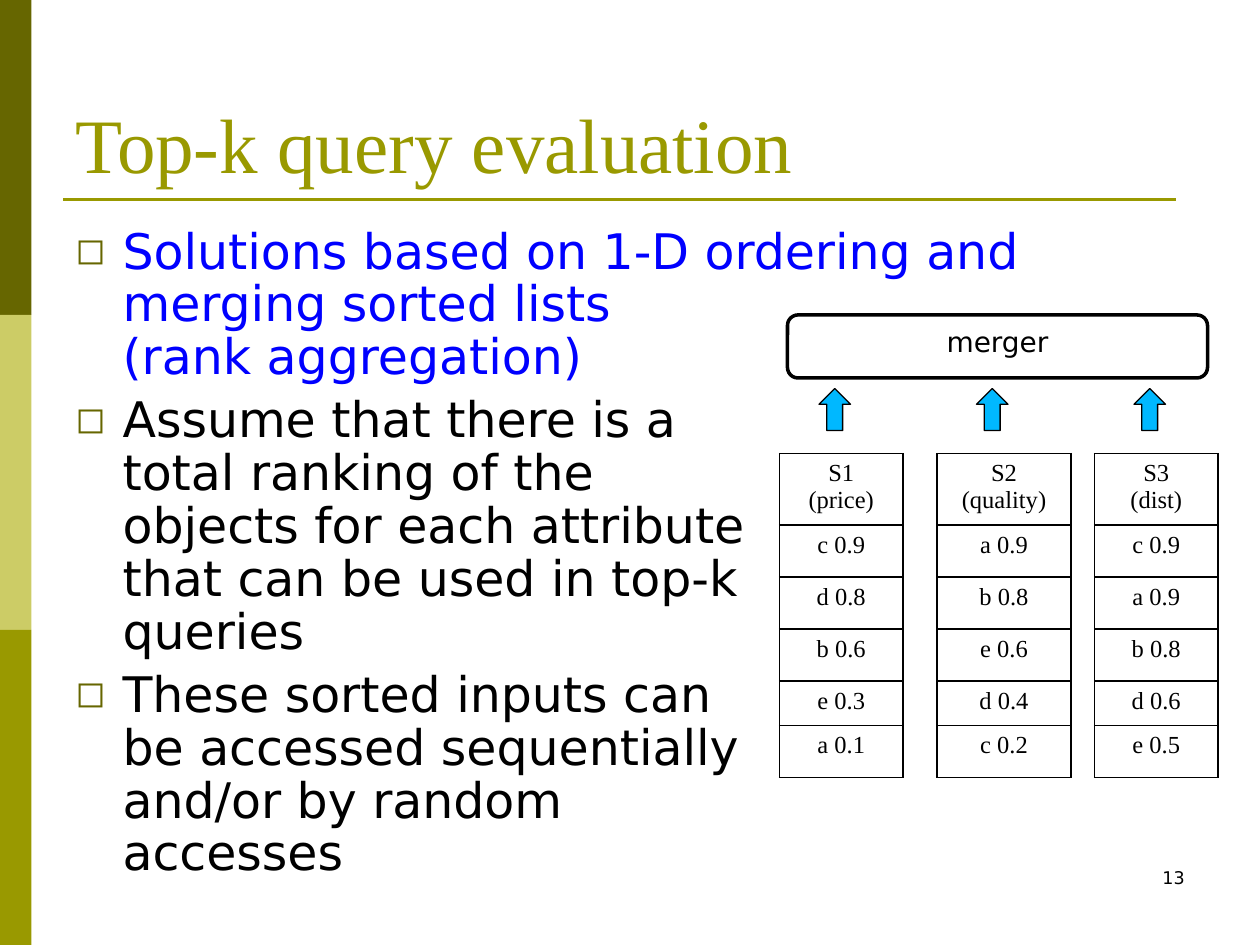
from lxml.etree import SubElement
from pptx import Presentation
from pptx.dml.color import RGBColor
from pptx.enum.shapes import MSO_CONNECTOR as Connector, MSO_SHAPE as Shape
from pptx.enum.text import MSO_ANCHOR as Anchor, PP_ALIGN as Align
from pptx.oxml.ns import qn
from pptx.util import Pt

SANS, SERIF = "DejaVu Sans", "Times New Roman"
OLIVE, DARK_OLIVE, PALE_OLIVE = "999900", "666600", "CCCC66"
BLACK, WHITE, BLUE, SKY = "000000", "FFFFFF", "0000FF", "00B8FF"

BULLETS = [
    ("Solutions based on 1-D ordering and merging sorted lists\n(rank aggregation)", BLUE),
    ("Assume that there is a\ntotal ranking of the\nobjects for each attribute\n"
     "that can be used in top-k\nqueries", BLACK),
    ("These sorted inputs can\nbe accessed sequentially\nand/or by random\naccesses", BLACK),
]
SORTED_LISTS = [
    (70.5, ["S1\n(price)", "c 0.9", "d 0.8", "b 0.6", "e 0.3", "a 0.1"]),
    (76.5, ["S2\n(quality)", "a 0.9", "b 0.8", "e 0.6", "d 0.4", "c 0.2"]),
    (70.5, ["S3\n(dist)", "c 0.9", "a 0.9", "b 0.8", "d 0.6", "e 0.5"]),
]
ROW_HEIGHTS = [38.2, 29.7, 29.7, 29.7, 25.6, 29.7]
LIST_LEFT, LIST_STEP = 445.5, 90


def color(hex_code):
    return RGBColor.from_string(hex_code)


def write(para, text, size=14, font=SANS, fill=BLACK, align=Align.LEFT):
    para.alignment = align
    for index, line in enumerate(text.split("\n")):
        if index:
            para.add_line_break()
        span = para.add_run()
        span.text = line
        span.font.size = Pt(size)
        span.font.name = font
        span.font.color.rgb = color(fill)


def add_text_box(page, left, top, width, height, anchor=Anchor.TOP):
    box = page.shapes.add_textbox(Pt(left), Pt(top), Pt(width), Pt(height))
    box.text_frame.word_wrap = True
    box.text_frame.vertical_anchor = anchor
    return box.text_frame


def add_block(page, kind, left, top, width, height, fill, line=None, weight=0.75):
    block = page.shapes.add_shape(kind, Pt(left), Pt(top), Pt(width), Pt(height))
    block.shadow.inherit = False
    block.fill.solid()
    block.fill.fore_color.rgb = color(fill)
    if line:
        block.line.color.rgb = color(line)
        block.line.width = Pt(weight)
    else:
        block.line.fill.background()
    return block


def add_rule(page, left, right, top):
    rule = page.shapes.add_connector(
        Connector.STRAIGHT, Pt(left), Pt(top), Pt(right), Pt(top))
    rule.line.color.rgb = color(OLIVE)
    rule.line.width = Pt(1.5)
    SubElement(rule._element.spPr, qn("a:effectLst"))


def set_bullet(para):
    props = para._p.get_or_add_pPr()
    props.set("marL", str(Pt(27)))
    props.set("indent", str(-Pt(27)))
    bullet_color = SubElement(props, qn("a:buClr"))
    SubElement(bullet_color, qn("a:srgbClr"), val=DARK_OLIVE)
    SubElement(props, qn("a:buSzPct"), val="75000")
    SubElement(props, qn("a:buFont"), typeface=SANS)
    SubElement(props, qn("a:buChar"), char="◻")


def add_bullets(frame, items):
    for index, (text, fill) in enumerate(items):
        para = frame.add_paragraph() if index else frame.paragraphs[0]
        set_bullet(para)
        para.line_spacing = 0.9
        if index:
            para.space_before = Pt(5.6)
        write(para, text, size=28, fill=fill)


def set_borders(cell):
    props = cell._tc.get_or_add_tcPr()
    for side in ("lnL", "lnR", "lnT", "lnB"):
        border = SubElement(props, qn(f"a:{side}"), w=str(Pt(1)))
        fill = SubElement(border, qn("a:solidFill"))
        SubElement(fill, qn("a:srgbClr"), val=BLACK)


def add_sorted_list(page, left, width, entries):
    table = page.shapes.add_table(
        len(entries), 1, Pt(left), Pt(259.2), Pt(width), Pt(sum(ROW_HEIGHTS))).table
    table.first_row = table.horz_banding = False
    table.columns[0].width = Pt(width)
    for index, (entry, height) in enumerate(zip(entries, ROW_HEIGHTS)):
        table.rows[index].height = Pt(height)
        cell = table.cell(index, 0)
        set_borders(cell)
        cell.fill.background()
        write(cell.text_frame.paragraphs[0], entry, font=SERIF, align=Align.CENTER)


def main():
    deck = Presentation()
    deck.slide_width, deck.slide_height = Pt(720), Pt(540)
    page = deck.slides.add_slide(deck.slide_layouts[6])

    # Side band and title rule
    for index, fill in enumerate((DARK_OLIVE, PALE_OLIVE, OLIVE)):
        add_block(page, Shape.RECTANGLE, 0, 180 * index, 18, 180, fill)
    add_rule(page, 36, 672, 114)

    # Title, bullets and page number
    title = add_text_box(page, 36, 21.6, 648, 90, Anchor.BOTTOM)
    write(title.paragraphs[0], "Top-k query evaluation", size=44, font=SERIF, fill=OLIVE)
    add_bullets(add_text_box(page, 36, 126, 648, 384), BULLETS)
    number = add_text_box(page, 516, 492, 168, 36)
    write(number.paragraphs[0], "13", size=10, align=Align.RIGHT)

    # Sorted lists, each feeding the merger
    for index, (width, entries) in enumerate(SORTED_LISTS):
        left = LIST_LEFT + LIST_STEP * index
        add_sorted_list(page, left, width, entries)
        add_block(page, Shape.UP_ARROW, left + 22.5, 222, 18, 24, SKY, BLACK)

    # Merger
    merger = add_block(page, Shape.ROUNDED_RECTANGLE, 450, 180, 240, 36, WHITE, BLACK, 2)
    merger.text_frame.vertical_anchor = Anchor.TOP
    write(merger.text_frame.paragraphs[0], "merger", size=16, align=Align.CENTER)

    deck.save("out.pptx")


if __name__ == "__main__":
    main()
